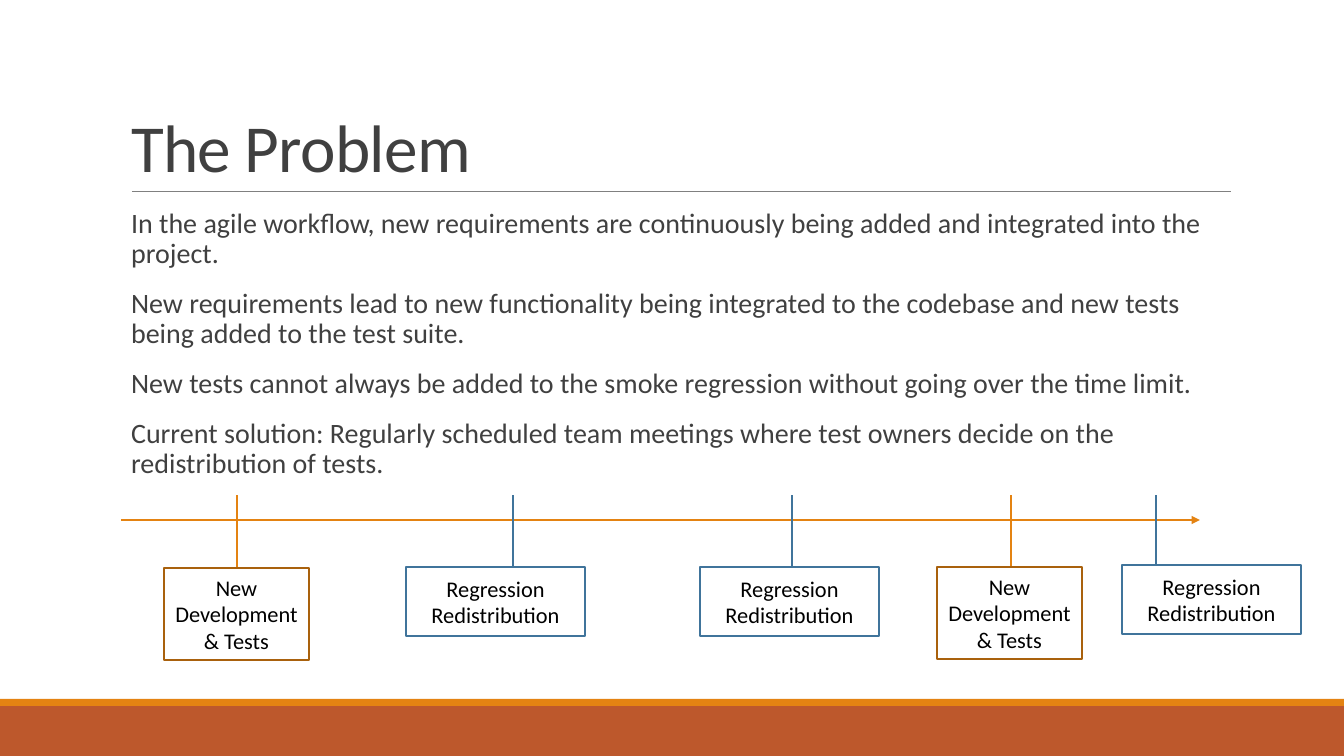
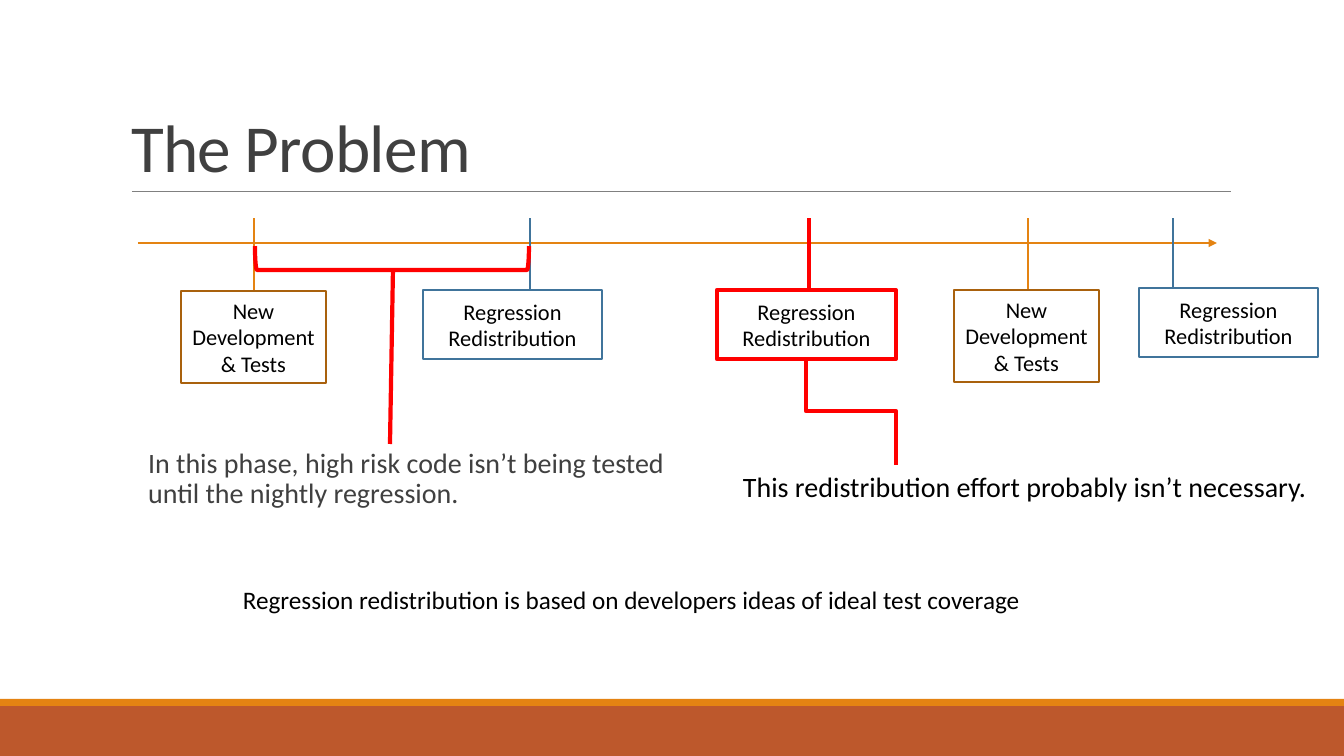
"""Builds two slides on regression testing along a shared timeline."""
from lxml import etree
from pptx import Presentation
from pptx.dml.color import RGBColor
from pptx.enum.dml import MSO_FILL
from pptx.enum.shapes import MSO_CONNECTOR, MSO_SHAPE
from pptx.enum.text import MSO_ANCHOR, MSO_AUTO_SIZE, PP_ALIGN
from pptx.oxml.ns import qn
from pptx.util import Emu, Pt

RECT, BRACE = MSO_SHAPE.RECTANGLE, MSO_SHAPE.LEFT_BRACKET
LINE, ELBOW = MSO_CONNECTOR.STRAIGHT, MSO_CONNECTOR.ELBOW
LEFT, CENTER = PP_ALIGN.LEFT, PP_ALIGN.CENTER
TOP, MIDDLE, BOTTOM = MSO_ANCHOR.TOP, MSO_ANCHOR.MIDDLE, MSO_ANCHOR.BOTTOM
FIXED = MSO_AUTO_SIZE.NONE

FONT = "Calibri"
ORANGE, BROWN, BLUE, RED = "E48312", "A9610D", "40749B", "FF0000"
RUST, GREY, DARK, BLACK = "BD582C", "808080", "404040", "000000"
WIDE, HIGH = 1344, 756
SCALE = 914400 / 100.8

TITLE = "The Problem"
HEAD = (121, 31, 1109, 160)
BANDS = [((0, 706, WIDE, 50), RUST), ((0, 699, WIDE, 7), ORANGE)]
RULE = (132, 191, 1231, 191)

KINDS = {
    "dev": ("New Development & Tests", 145, 92, ORANGE, BROWN),
    "reg": ("Regression Redistribution", 179, 69, BLUE, BLUE),
}
EVENTS = [
    ("dev", 116, 43, 48),
    ("reg", 392, 285, 47),
    ("reg", 671, 579, 47),
    ("dev", 890, 816, 47),
    ("reg", 1035, 1001, 45),
]
SPAN, RISE = 1079, 25

SLIDES = [
    {
        "body": (121, 204, 1109, 483),
        "lines": [
            "In the agile workflow, new requirements are continuously being "
            "added and integrated into the project.",
            "New requirements lead to new functionality being integrated to "
            "the codebase and new tests being added to the test suite.",
            "New tests cannot always be added to the smoke regression without "
            "going over the time limit.",
            "Current solution: Regularly scheduled team meetings where test "
            "owners decide on the redistribution of tests.",
        ],
        "axis": (121, 520),
        "alert": None,
    },
    {
        "body": (138, 444, 564, 126),
        "lines": ["In this phase, high risk code isn’t being tested until "
                  "the nightly regression."],
        "axis": (138, 243),
        "alert": 2,
    },
]
BRACKET = (380, 121, 24, 274)
STALK = (393, 270, 390, 444)
BEND = (806, 357, 896, 465)
NOTES = [
    ("This redistribution effort probably isn’t necessary.",
     (733, 465, 590, 44), 20),
    ("Regression redistribution is based on developers ideas of ideal test "
     "coverage", (233, 579, 807, 40), 18),
]


def px(*vals):
    return [Emu(round(v * SCALE)) for v in vals]


def rgb(code):
    return RGBColor.from_string(code)


def place(shape, box):
    shape.left, shape.top, shape.width, shape.height = px(*box)


def style(shape, size, color, align=LEFT, anchor=TOP, gap=None):
    frame = shape.text_frame
    frame.word_wrap, frame.auto_size = True, FIXED
    frame.vertical_anchor = anchor
    for para in frame.paragraphs:
        para.alignment, para.line_spacing = align, gap
        for run in para.runs:
            run.font.name, run.font.size = FONT, Pt(size)
            run.font.color.rgb = rgb(color)


def stroke(shape, color, width):
    shape.line.color.rgb, shape.line.width = rgb(color), Pt(width)


def draw(slide, form, box, fill=None, line=None, width=1.25):
    shape = slide.shapes.add_shape(form, *px(*box))
    shape.shadow.inherit = False
    if fill:
        shape.fill.solid()
        shape.fill.fore_color.rgb = rgb(fill)
    else:
        shape.fill.background()
    if line:
        stroke(shape, line, width)
    else:
        shape.line.fill.background()
    return shape


def link(slide, ends, color, width=1, kind=LINE):
    line = slide.shapes.add_connector(kind, *px(*ends))
    stroke(line, color, width)
    etree.SubElement(line.element.spPr, qn("a:effectLst"))
    return line


def drop(slide, ends, color, width):
    x1, y1, x2, y2 = ends
    mx, my = (x1 + x2) / 2, (y1 + y2) / 2
    dx, dy = (y2 - y1) / 2, (x2 - x1) / 2
    turn = (mx + dx, my - dy, mx - dx, my + dy)
    line = link(slide, turn, color, width, ELBOW)
    line.element.spPr.find(qn("a:xfrm")).set("rot", "16200000")


def setup(layout, slide):
    for hold in list(layout.placeholders)[2:]:
        hold.element.getparent().remove(hold.element)
    place(layout.placeholders[0], HEAD)
    parts = [draw(slide, RECT, box, color) for box, color in BANDS]
    parts.append(link(slide, RULE, GREY, 0.5))
    for part in parts:
        layout.shapes.element.append(part.element)


def write(slide, box, lines):
    title, body = slide.shapes.title, slide.placeholders[1]
    title.text_frame.text = TITLE
    style(title, 48, DARK, anchor=BOTTOM, gap=0.85)
    for prop in title.element.iter(qn("a:rPr")):
        prop.set("spc", "-50")
    place(body, box)
    frame = body.text_frame
    frame.text = "\n".join(lines)
    frame.margin_left = frame.margin_right = 0
    style(body, 20, DARK, gap=0.9)
    for para in frame.paragraphs:
        para.space_before, para.space_after = Pt(12), Pt(2)
    for prop in body.element.iter(qn("a:pPr")):
        prop.set("marL", "91440")
        prop.set("indent", "0")
        etree.SubElement(prop, qn("a:buNone"))


def chart(slide, axis, alert):
    x, y = axis
    arrow = link(slide, (x, y, x + SPAN, y), ORANGE)
    tip = etree.SubElement(arrow.line.fill and arrow.element.spPr.find(qn("a:ln")),
                           qn("a:tailEnd"))
    tip.set("type", "triangle")
    for spot, (kind, stem, left, top) in enumerate(EVENTS):
        text, wide, high, tint, edge = KINDS[kind]
        thin, bold = 1, 1.25
        if spot == alert:
            tint = edge = RED
            thin = bold = 3
        link(slide, (x + stem, y + top, x + stem, y - RISE), tint, thin)
        card = draw(slide, RECT, (x + left, y + top, wide, high),
                    line=edge, width=bold)
        card.text_frame.text = text
        style(card, 16, BLACK, CENTER, MIDDLE)


def mark(slide):
    brace = draw(slide, BRACE, BRACKET, line=RED, width=3)
    brace.rotation = 270
    link(slide, STALK, RED, 3)
    drop(slide, BEND, RED, 3)
    for text, box, size in NOTES:
        note = slide.shapes.add_textbox(*px(*box))
        note.text_frame.text = text
        style(note, size, BLACK)


def main():
    deck = Presentation()
    deck.slide_width, deck.slide_height = px(WIDE, HIGH)
    layout = deck.slide_layouts[1]
    for page, data in enumerate(SLIDES):
        slide = deck.slides.add_slide(layout)
        if page == 0:
            setup(layout, slide)
        write(slide, data["body"], data["lines"])
        chart(slide, data["axis"], data["alert"])
        if data["alert"] is not None:
            mark(slide)
    deck.save("out.pptx")


main()
